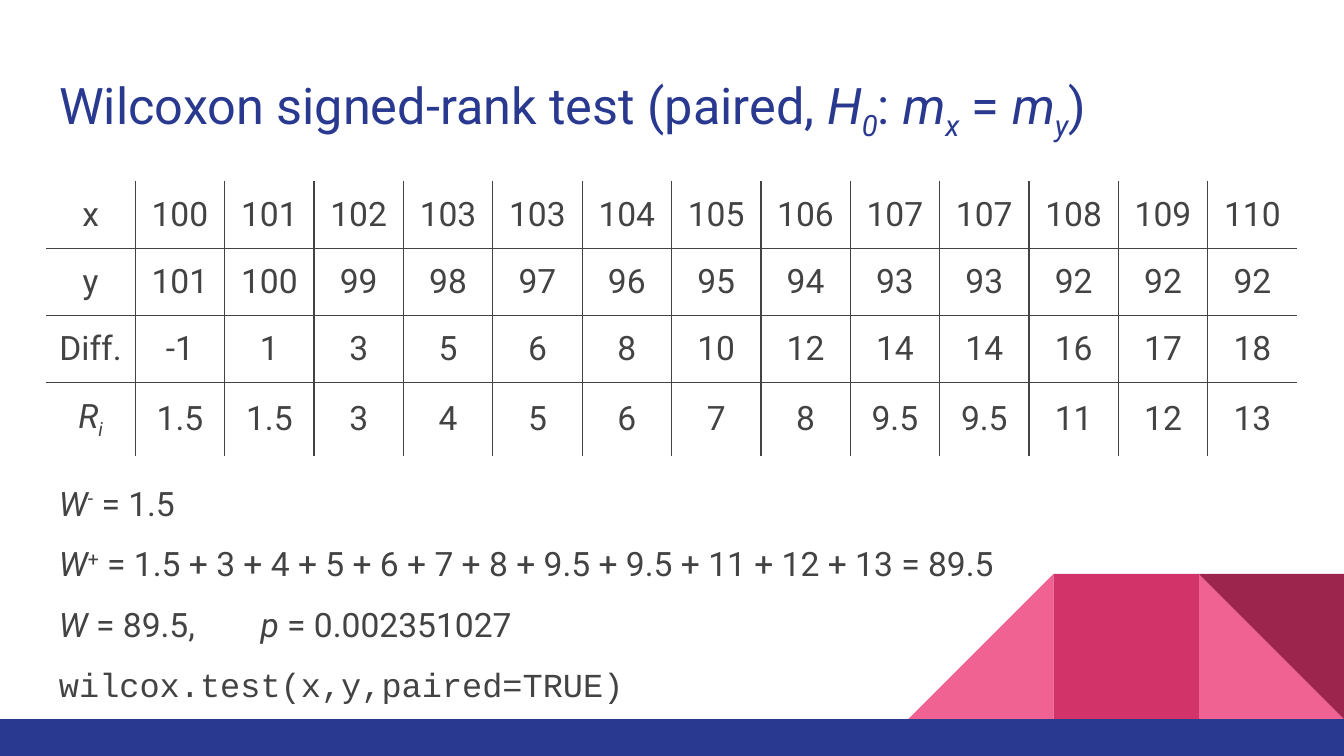
"""Build the slide on the Wilcoxon signed-rank test."""
from lxml.etree import SubElement
from pptx import Presentation
from pptx.dml.color import RGBColor
from pptx.enum.shapes import MSO_SHAPE
from pptx.enum.text import MSO_ANCHOR, PP_ALIGN
from pptx.oxml.ns import qn
from pptx.util import Pt

BLUE, GREY, PINK = "2A3990", "434343", "F06292"
ITALIC = {"italic": True}
SUBSCRIPT = {"italic": True, "baseline": -25}
SUPERSCRIPT = {"baseline": 30}


def paint(fill, color):
    fill.solid()
    fill.fore_color.rgb = RGBColor.from_string(color)


def add_text(paragraph, text, size=18, color=GREY, font="Roboto", italic=False, baseline=0):
    run = paragraph.add_run()
    run.text = text
    run.font.name = font
    run.font.size = Pt(size)
    run.font.italic = italic
    paint(run.font.fill, color)
    if baseline:
        run.font._element.set("baseline", str(baseline * 1000))


presentation = Presentation()
presentation.slide_width, presentation.slide_height = Pt(720), Pt(405)
slide = presentation.slides.add_slide(presentation.slide_layouts[5])

side = 77.8
decorations = [
    (MSO_SHAPE.RIGHT_TRIANGLE, 642.2, 307.4, side, side, 0, PINK),
    (MSO_SHAPE.RIGHT_TRIANGLE, 486.6, 307.4, side, side, 270, PINK),
    (MSO_SHAPE.RECTANGLE, 564.4, 307.4, side, side, 0, "D23369"),
    (MSO_SHAPE.RIGHT_TRIANGLE, 642.2, 307.4, side, side, 180, "9C254D"),
    (MSO_SHAPE.RECTANGLE, 0, 385.2, 720, 19.8, 0, BLUE),
]
for kind, left, top, width, height, rotation, color in decorations:
    shape = slide.shapes.add_shape(kind, Pt(left), Pt(top), Pt(width), Pt(height))
    shape.rotation = rotation
    shape.shadow.inherit = False
    shape.line.fill.background()
    paint(shape.fill, color)

title = slide.shapes.title
body = slide.shapes.add_textbox(Pt(24.5), Pt(240.5), Pt(671), Pt(134.6))
title.left, title.top, title.width, title.height = Pt(24.5), Pt(32.4), Pt(671), Pt(47.5)
for shape in (title, body):
    frame = shape.text_frame
    frame.word_wrap = True
    frame.vertical_anchor = MSO_ANCHOR.TOP
    frame.margin_left = frame.margin_right = frame.margin_top = frame.margin_bottom = Pt(7.2)

title_runs = [
    ("Wilcoxon signed-rank test (paired, ", {}), ("H", ITALIC), ("0", SUBSCRIPT),
    (": ", {}), ("m", ITALIC), ("x", SUBSCRIPT),
    (" = ", {}), ("m", ITALIC), ("y", SUBSCRIPT), (")", {}),
]
heading = title.text_frame.paragraphs[0]
heading.alignment = PP_ALIGN.LEFT
for text, style in title_runs:
    add_text(heading, text, size=27, color=BLUE, **style)

body_lines = [
    [("W", ITALIC), ("-", SUPERSCRIPT), (" = 1.5", {})],
    [("W", ITALIC), ("+", SUPERSCRIPT),
     (" = 1.5 + 3 + 4 + 5 + 6 + 7 + 8 + 9.5 + 9.5 + 11 + 12 + 13 = 89.5", {})],
    [("W", ITALIC), (" = 89.5,\t", {}), ("p", ITALIC), (" = 0.002351027", {})],
    [("wilcox.test(x,y,paired=TRUE)", {"font": "Courier New"})],
]
for index, runs in enumerate(body_lines):
    paragraph = body.text_frame.add_paragraph() if index else body.text_frame.paragraphs[0]
    paragraph.line_spacing = 1.5
    for text, style in runs:
        add_text(paragraph, text, **style)

rows = [
    "x 100 101 102 103 103 104 105 106 107 107 108 109 110".split(),
    "y 101 100 99 98 97 96 95 94 93 93 92 92 92".split(),
    "Diff. -1 1 3 5 6 8 10 12 14 14 16 17 18".split(),
    "Ri 1.5 1.5 3 4 5 6 7 8 9.5 9.5 11 12 13".split(),
]
row_heights = [35.4, 35.4, 35.4, 38.6]
column_width = 47.9
last_row, last_column = len(rows) - 1, len(rows[0]) - 1
frame = slide.shapes.add_table(len(rows), len(rows[0]), Pt(24.6), Pt(97),
                               Pt(column_width * len(rows[0])), Pt(sum(row_heights)))
table = frame.table
table.first_row = table.horz_banding = False
table._tbl.tblPr.find(qn("a:tableStyleId")).text = "{2D5ABB26-0587-4C30-8999-92F81FD0307C}"
for column in table.columns:
    column.width = Pt(column_width)
for row_index, values in enumerate(rows):
    table.rows[row_index].height = Pt(row_heights[row_index])
    for column_index, value in enumerate(values):
        cell = table.cell(row_index, column_index)
        cell.vertical_anchor = MSO_ANCHOR.MIDDLE
        cell.margin_left = cell.margin_right = cell.margin_top = cell.margin_bottom = Pt(7.2)
        paragraph = cell.text_frame.paragraphs[0]
        paragraph.alignment = PP_ALIGN.CENTER
        if value == "Ri":
            add_text(paragraph, "R", **ITALIC)
            add_text(paragraph, "i", **SUBSCRIPT)
        else:
            add_text(paragraph, value)
        properties = cell._tc.get_or_add_tcPr()
        inner_sides = {"a:lnL": column_index > 0, "a:lnR": column_index < last_column,
                       "a:lnT": row_index > 0, "a:lnB": row_index < last_row}
        for tag, is_inner in inner_sides.items():
            if is_inner:
                border = SubElement(properties, qn(tag), w=str(Pt(0.75)))
                solid = SubElement(border, qn("a:solidFill"))
                SubElement(solid, qn("a:srgbClr"), val=GREY)
        cell.fill.background()

presentation.save("out.pptx")
